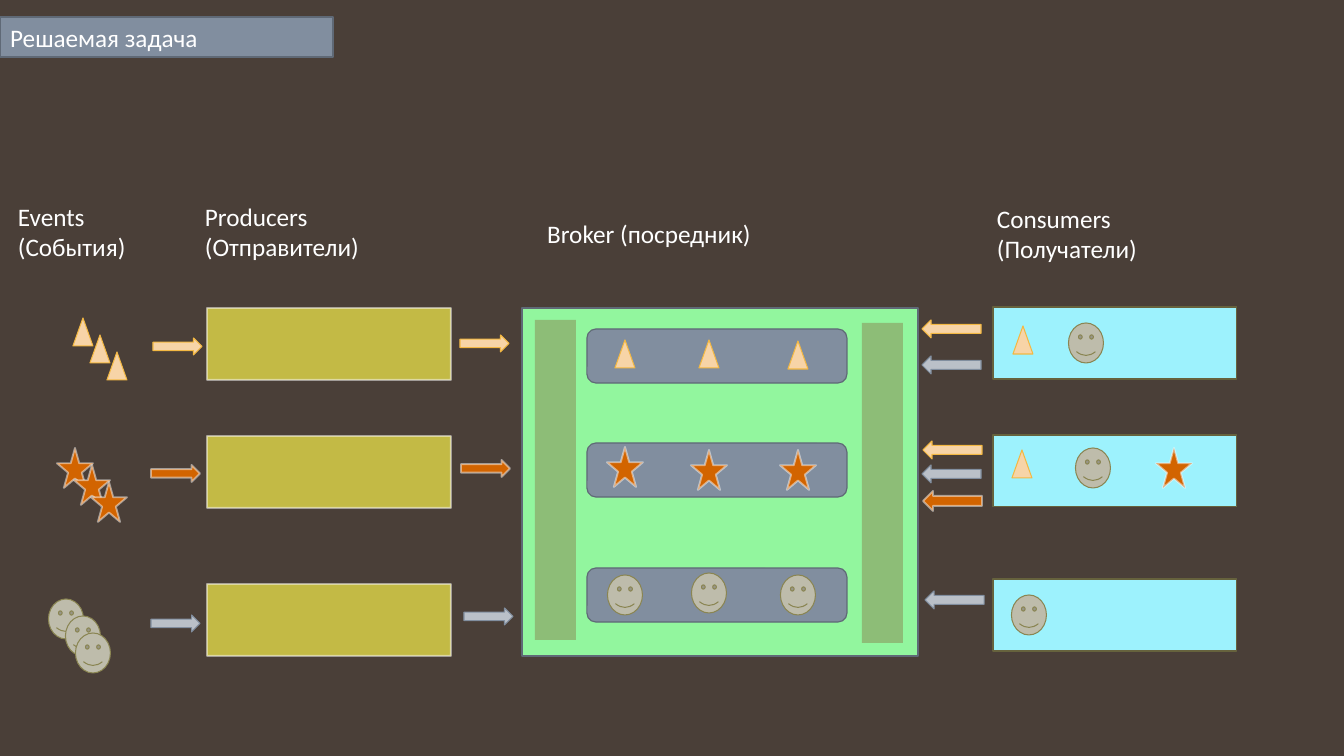
from pptx import Presentation
from pptx.dml.color import RGBColor
from pptx.enum.shapes import MSO_SHAPE as SHAPE
from pptx.enum.text import MSO_ANCHOR, PP_ALIGN as ALIGN
from pptx.oxml.ns import qn
from pptx.util import Pt
from lxml.etree import SubElement

PX = 914400 / 100.8
COLORS = {
    "background": "4A3F38", "white": "FFFFFF", "pale": "F9F9F9",
    "slate": "818E9F", "slate_edge": "5F6976", "mist": "BAC0C8",
    "peach": "F7D4A7", "amber": "F3B843", "orange": "D26400",
    "stone": "BEBCAB", "olive": "8A8552", "mustard": "C3BA45",
    "cyan": "9DF2FD", "olive_edge": "66623D", "mint": "92F69E",
}
# fill, line, line width in points, line opacity in percent
PEACH = ("peach", "amber", 0.75, 100)
ORANGE = ("orange", "pale", 1.35, 50)
STONE = ("stone", "olive", 0.75, 100)
MIST = ("mist", "slate", 0.75, 100)
SLATE = ("slate", "slate_edge", 0.85, 100)
MUSTARD = ("mustard", "pale", 1.35, 50)
CYAN = ("cyan", "olive_edge", 0.85, 100)
MINT = ("mint", "slate_edge", 0.85, 100)

# event kind: shape, width, height, style, arrow style
EVENTS = {
    "triangle": (SHAPE.ISOSCELES_TRIANGLE, 20, 28, PEACH, PEACH),
    "star": (SHAPE.STAR_5_POINT, 36, 40, ORANGE, ORANGE),
    "smiley": (SHAPE.SMILEY_FACE, 35, 40, STONE, MIST),
}
LANE_W, LANE_H = 244, 72


def emu(*lengths):
    return [round(n * PX) for n in lengths]


def rgb(name):
    return RGBColor.from_string(COLORS[name])


def set_opacity(parent, percent):
    color = next(parent.iter(qn("a:srgbClr")))
    SubElement(color, qn("a:alpha")).set("val", str(percent * 1000))


def paint(sp, style):
    fill, line, width, opacity = style
    sp.fill.solid()
    sp.fill.fore_color.rgb = rgb(fill)
    sp.line.color.rgb = rgb(line)
    sp.line.width = Pt(width)
    if opacity < 100:
        set_opacity(sp.element.spPr.find(qn("a:ln")), opacity)


def add_block(slide, shape, x, y, w, h, style):
    sp = slide.shapes.add_shape(shape, *emu(x, y, w, h))
    sp.shadow.inherit = False
    paint(sp, style)
    return sp


def add_event(slide, kind, cx, cy):
    """Centre one event symbol on a point."""
    shape, w, h, style, _ = EVENTS[kind]
    add_block(slide, shape, cx - w / 2, cy - h / 2, w, h, style)


def add_arrow(slide, kind, shape, x, y, w, h):
    add_block(slide, shape, x, y, w, h, EVENTS[kind][4])


def write(tf, text, align=ALIGN.LEFT):
    tf.word_wrap = True
    p = tf.paragraphs[0]
    p.alignment = align
    r = p.add_run()
    r.text = text
    r.font.size = Pt(18)
    r.font.name = "Calibri"
    r.font.color.rgb = rgb("white")


def add_heading(slide, text, x, y, w, h, align=ALIGN.LEFT):
    box = slide.shapes.add_textbox(*emu(x, y, w, h))
    write(box.text_frame, text, align)


def add_title(slide, text, x, y, w, h):
    title = slide.shapes.title
    title.left, title.top, title.width, title.height = emu(x, y, w, h)
    paint(title, SLATE)
    title.text_frame.vertical_anchor = MSO_ANCHOR.MIDDLE
    write(title.text_frame, text)


def add_event_pile(slide, kind, cx, cy, offsets):
    for dx, dy in offsets:
        add_event(slide, kind, cx + dx, cy + dy)


def add_producer(slide, kind, x, y, arrows):
    """Draw a producer with its incoming and outgoing arrows."""
    add_block(slide, SHAPE.RECTANGLE, x, y, LANE_W, LANE_H, MUSTARD)
    for dx, dy in arrows:
        add_arrow(slide, kind, SHAPE.RIGHT_ARROW, x + dx, y + dy, 49, 17)


def add_queue(slide, kind, x, y, heights):
    add_block(slide, SHAPE.ROUNDED_RECTANGLE, x, y, 260, 54, SLATE)
    for dx, dy in zip((38, 122, 211), heights):
        add_event(slide, kind, x + dx, y + dy)


def add_broker(slide, x, y, w, h):
    add_block(slide, SHAPE.RECTANGLE, x, y, w, h, MINT)
    for kind, dy, heights in (("triangle", 21, (25, 25, 26)),
                              ("star", 135, (24, 27, 27)),
                              ("smiley", 260, (27, 25, 27))):
        add_queue(slide, kind, x + 65, y + dy, heights)
    for dx, dy in ((13, 12), (340, 15)):
        pillar = add_block(slide, SHAPE.RECTANGLE, x + dx, y + dy, 41, 320, STONE)
        pillar.fill.fore_color.rgb = rgb("olive")
        pillar.line.fill.background()
        set_opacity(pillar.element.spPr.find(qn("a:solidFill")), 50)


def add_consumer(slide, x, y, events, arrows):
    """Draw a consumer, the events it holds and its requests to the broker."""
    add_block(slide, SHAPE.RECTANGLE, x, y, LANE_W, LANE_H, CYAN)
    for kind, dx, dy in events:
        add_event(slide, kind, x + dx, y + dy)
    for kind, dx, dy, h in arrows:
        add_arrow(slide, kind, SHAPE.LEFT_ARROW, x + dx, y + dy, 59, h)


def add_broker_slide(prs):
    slide = prs.slides.add_slide(prs.slide_layouts[5])
    slide.background.fill.solid()
    slide.background.fill.fore_color.rgb = rgb("background")
    add_title(slide, "Решаемая задача", 0, 17, 333, 40)

    add_heading(slide, "Events (События)", 8, 196, 134, 71)
    add_heading(slide, "Producers (Отправители)", 195, 196, 256, 71)
    add_heading(slide, "Broker (посредник)", 521, 213, 256, 40, ALIGN.CENTER)
    add_heading(slide, "Consumers (Получатели)", 987, 198, 256, 71)

    diagonal = [(17 * i, 17 * i) for i in range(3)]
    add_event_pile(slide, "triangle", 83, 332, diagonal)
    add_event_pile(slide, "star", 75, 468, diagonal)
    add_event_pile(slide, "smiley", 66, 619, [(0, 0), (17, 17), (27, 34)])

    for kind, y, arrows in (("triangle", 308, ((-54, 30), (253, 27))),
                            ("star", 436, ((-56, 29), (254, 24))),
                            ("smiley", 584, ((-56, 31), (257, 24)))):
        add_producer(slide, kind, 207, y, arrows)

    add_broker(slide, 522, 308, 396, 348)

    consumers = (
        (307, [("triangle", 30, 33), ("smiley", 93, 36)],
         [("triangle", -71, 13, 18), ("smiley", -71, 49, 18)]),
        (435, [("triangle", 29, 29), ("smiley", 100, 33), ("star", 181, 33)],
         [("triangle", -70, 6, 18), ("smiley", -71, 30, 18), ("star", -70, 56, 20)]),
        (579, [("smiley", 36, 36)], [("smiley", -68, 12, 18)]),
    )
    for y, events, arrows in consumers:
        add_consumer(slide, 993, y, events, arrows)


def main():
    prs = Presentation()
    prs.slide_width, prs.slide_height = emu(1344, 756)
    add_broker_slide(prs)
    prs.save("out.pptx")


if __name__ == "__main__":
    main()
